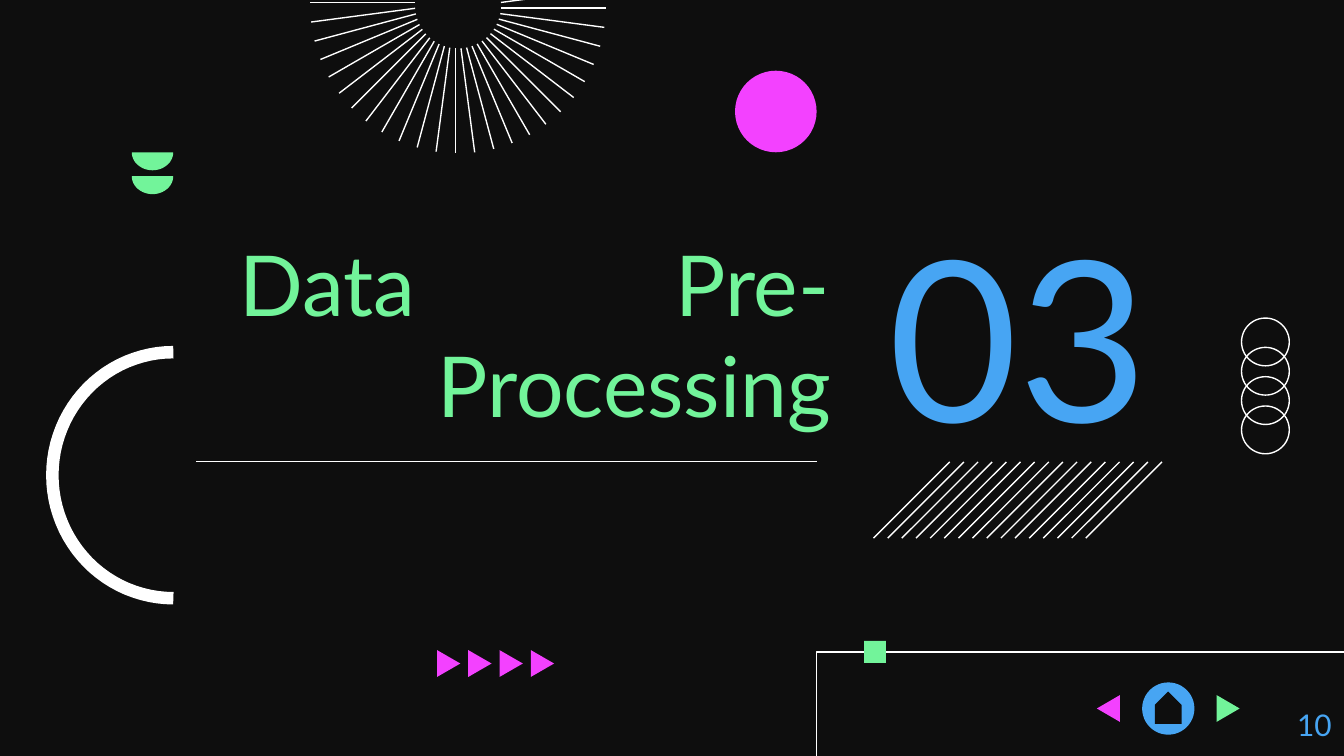
from math import cos, radians, sin

from lxml.etree import SubElement
from pptx import Presentation
from pptx.dml.color import RGBColor
from pptx.enum.shapes import MSO_CONNECTOR, MSO_SHAPE
from pptx.enum.text import MSO_ANCHOR, PP_ALIGN
from pptx.oxml.ns import qn
from pptx.util import Pt

COLORS = {
    "night": "0E0E0E",
    "white": "FFFFFF",
    "pink": "F341FF",
    "green": "72F49A",
    "blue": "47A5F3",
}


def tint(name):
    return RGBColor.from_string(COLORS[name])


def paint(shape, fill=None, line=None, width=0.75):
    shape.shadow.inherit = False
    if fill:
        shape.fill.solid()
        shape.fill.fore_color.rgb = tint(fill)
    else:
        shape.fill.background()
    if line:
        shape.line.color.rgb = tint(line)
        shape.line.width = Pt(width)
    else:
        shape.line.fill.background()


def add_form(slide, kind, x, y, w, h, **style):
    shape = slide.shapes.add_shape(kind, Pt(x), Pt(y), Pt(w), Pt(h))
    paint(shape, **style)
    return shape


def add_path(slide, points, close=True, **style):
    first, *rest = [(Pt(x), Pt(y)) for x, y in points]
    maker = slide.shapes.build_freeform(*first)
    maker.add_line_segments(rest, close=close)
    paint(maker.convert_to_shape(), **style)


def add_line(slide, x1, y1, x2, y2):
    line = slide.shapes.add_connector(
        MSO_CONNECTOR.STRAIGHT, Pt(x1), Pt(y1), Pt(x2), Pt(y2))
    line.line.color.rgb = tint("white")
    line.line.width = Pt(0.75)
    SubElement(line.element.spPr, qn("a:effectLst"))


def add_text(slide, x, y, w, h, lines, size, color, align, left=7.2):
    box = slide.shapes.add_textbox(Pt(x), Pt(y), Pt(w), Pt(h))
    frame = box.text_frame
    frame.word_wrap = True
    frame.vertical_anchor = MSO_ANCHOR.TOP
    frame.margin_left, frame.margin_right = Pt(left), Pt(7.2)
    frame.margin_top, frame.margin_bottom = 0, Pt(7.2)
    frame.text = "\n".join(lines)
    for para in frame.paragraphs:
        para.alignment = align
        for run in para.runs:
            run.font.size = Pt(size)
            run.font.name = "Lato"
            run.font.color.rgb = tint(color)
    return frame


def set_tab(para, pos):
    tabs = SubElement(para._p.get_or_add_pPr(), qn("a:tabLst"))
    SubElement(tabs, qn("a:tab"), pos=str(Pt(pos)), algn="r")


def curve(x, y, rx, ry, start, end, steps=48):
    turns = [radians(start + (end - start) * i / steps) for i in range(steps + 1)]
    return [(x + rx * cos(t), y + ry * sin(t)) for t in turns]


def add_arrow(slide, x, y, w, color):
    add_path(slide, [(x, y), (x + w, y + 7.2), (x, y + 14.4)], fill=color)


def add_rays(slide, x, y):
    near, far, shift = 23, 79.2, 1.44
    for i in range(26):
        turn = radians(7.5 * (i - 1))
        dx, dy = cos(turn), sin(turn)
        left, top = x - shift * dy, y + shift * dx
        add_line(slide, left + near * dx, top + near * dy,
                 left + far * dx, top + far * dy)


def add_hatch(slide):
    for i in range(16):
        x = 468 + 7.58 * i
        add_line(slide, x + 40.8, 247.5, x, 288.3)


def add_decor(slide):
    for i in range(4):
        add_form(slide, MSO_SHAPE.OVAL, 665.1, 170.4 + 15.7 * i, 25.6, 25.6,
                 line="white")
    add_form(slide, MSO_SHAPE.OVAL, 393.8, 37.9, 43.7, 43.7, fill="pink")
    add_path(slide, [(748.8, 349.3), (437.5, 349.3), (437.5, 594)],
             close=False, line="white")
    add_form(slide, MSO_SHAPE.RECTANGLE, 462.9, 343.4, 11.8, 11.8, fill="green")
    for i in range(4):
        add_arrow(slide, 234.1 + 16.75 * i, 348.3, 12.5, "pink")
    for y in (94.4, 81.6):
        add_path(slide, curve(81.7, y, 11.1, 9.6, 0, 180), fill="green")
    add_rays(slide, 245.4, 2.9)


def add_nav(slide):
    add_form(slide, MSO_SHAPE.OVAL, 611.9, 365.6, 28, 28, fill="blue")
    home = add_form(slide, MSO_SHAPE.PENTAGON, 617.2, 371.9, 17.3, 14.4,
                    fill="night")
    home.adjustments[0] = 0.5
    home.rotation = 270
    add_arrow(slide, 600, 372.4, -12.4, "pink")
    add_arrow(slide, 651.7, 372.4, 12.4, "green")


def main():
    deck = Presentation()
    deck.slide_width, deck.slide_height = Pt(720), Pt(405)
    slide = deck.slides.add_slide(deck.slide_layouts[6])
    slide.background.fill.solid()
    slide.background.fill.fore_color.rgb = tint("night")

    add_decor(slide)
    title = add_text(slide, 68.4, 124.6, 383.8, 101.5,
                     ["Data\tPre-", "Processing"], 45, "green",
                     PP_ALIGN.RIGHT, left=60)
    title.paragraphs[0].alignment = PP_ALIGN.LEFT
    set_tab(title.paragraphs[0], 316)
    add_text(slide, 444.2, 106.6, 203, 126, ["03"], 120, "blue", PP_ALIGN.CENTER)
    add_line(slide, 105.1, 247.4, 437.8, 247.4)
    add_path(slide, curve(92.9, 254.6, 64.8, 65.9, 270, 90), close=False,
             line="white", width=6.69)
    add_hatch(slide)
    add_nav(slide)
    add_text(slide, 684.7, 378.7, 38.9, 26.6, ["10"], 16, "blue", PP_ALIGN.CENTER)
    deck.save("out.pptx")


if __name__ == "__main__":
    main()
